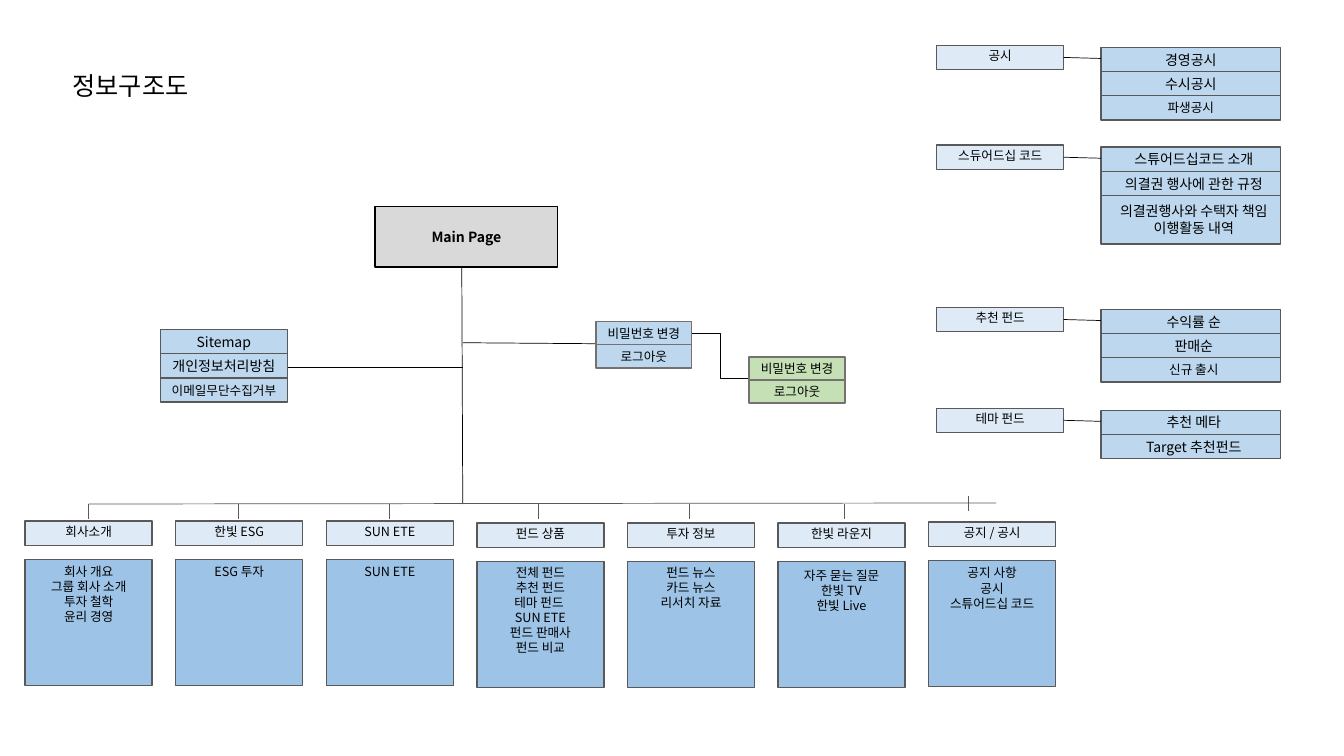
from pptx import Presentation
from pptx.dml.color import RGBColor
from pptx.enum import shapes, text
from pptx.oxml.ns import qn
from pptx.util import Inches, Pt

FONT = "Noto Sans CJK KR"
BLACK = RGBColor(0x00, 0x00, 0x00)
GRAY = RGBColor(0xD9, 0xD9, 0xD9)
PALE = RGBColor(0xDE, 0xEB, 0xF7)
LIGHT = RGBColor(0xBD, 0xD7, 0xEE)
MEDIUM = RGBColor(0x9D, 0xC3, 0xE6)
GREEN = RGBColor(0xC5, 0xE0, 0xB4)
EDGE = RGBColor(0x59, 0x59, 0x59)
SOFT_EDGE = RGBColor(0x76, 0x71, 0x71)

# heading, top, branch line x, items, inset above the items
MENUS = [
    ("회사소개", 5.17, 0.88, ["회사 개요", "그룹 회사 소개", "투자 철학", "윤리 경영"], 0.04),
    ("한빛 ESG", 5.17, 2.37, ["ESG 투자"], 0.05),
    ("SUN ETE", 5.17, 3.86, ["SUN ETE"], 0.04),
    ("펀드 상품", 5.19, 5.34,
     ["전체 펀드", "추천 펀드", "테마 펀드 ", "SUN ETE", "펀드 판매사", "펀드 비교"], 0.03),
    ("투자 정보", 5.19, 6.84, ["펀드 뉴스", "카드 뉴스", "리서치 자료"], 0.03),
    ("한빛 라운지", 5.19, 8.38, ["자주 묻는 질문", "한빛 TV", "한빛 Live"], 0.06),
    ("공지 / 공시", 5.18, 9.61, ["공지 사항", "공시", "스튜어드십 코드"], 0.05),
]
# heading, top, (label, size, height) of each linked page, left inset
DETAILS = [
    ("공시", 0.45, [("경영공시", 10, 0.24), ("수시공시", 10, 0.24), ("파생공시", 9, 0.24)], 0),
    ("스듀어드십 코드", 1.44,
     [("스튜어드십코드 소개", 10, 0.24), ("의결권 행사에 관한 규정", 10, 0.24),
      ("의결권행사와 수택자 책임 이행활동 내역", 10, 0.48)], 0.06),
    ("추천 펀드", 3.05, [("수익률 순", 10, 0.24), ("판매순", 10, 0.24), ("신규 출시", 9, 0.24)], 0.06),
    ("테마 펀드", 4.05, [("추천 메타", 10, 0.24), ("Target 추천펀드", 10, 0.24)], 0.06),
]
UTILITIES = [("Sitemap", 10, 0.24), ("개인정보처리방침", 10, 0.24), ("이메일무단수집거부", 9, 0.24)]
ACCOUNT = [("비밀번호 변경", 9, 0.23), ("로그아웃", 9, 0.23)]
# left, top, fill
ACCOUNT_STACKS = [(5.91, 3.19, LIGHT), (7.43, 3.54, GREEN)]
# start, end
TRUNK_LINES = [
    ((4.58, 2.65), (4.59, 5)),
    ((4.59, 3.4), (5.91, 3.41)),
    ((2.85, 3.64), (4.59, 3.64)),
]
HEAD_WIDTH, HEAD_HEIGHT = 1.26, 0.24
MENU_LEFT, MENU_RIGHT = 0.25, 9.21
DETAIL_HEAD, DETAIL_PAGE, DETAIL_WIDTH = 9.29, 10.92, 1.78
TREE_Y = 5

deck = Presentation()
deck.slide_width, deck.slide_height = Inches(13.33), Inches(7.5)
page = deck.slides.add_slide(deck.slide_layouts[6])


def write(box, lines, size, bold=False, left=0, top=0, bottom=0, anchor="MIDDLE"):
    """Put centred lines of text into a box."""
    frame = box.text_frame
    settings = {
        "word_wrap": True, "margin_left": Inches(left), "margin_right": 0,
        "margin_top": Inches(top), "margin_bottom": Inches(bottom),
        "vertical_anchor": getattr(text.MSO_ANCHOR, anchor),
    }
    for name, value in settings.items():
        setattr(frame, name, value)
    for index, line in enumerate(lines):
        para = frame.add_paragraph() if index else frame.paragraphs[0]
        para.alignment = text.PP_ALIGN.CENTER
        para.line_spacing = Pt(size * 1.2)
        span = para.add_run()
        span.text = line
        for name, value in {"name": FONT, "size": Pt(size), "bold": bold}.items():
            setattr(span.font, name, value)
        span.font.color.rgb = BLACK
        east_asian = span.font._element.makeelement(qn("a:ea"), {"typeface": FONT})
        span.font._element.append(east_asian)


def add_box(place, fill, lines, size=9, edge=EDGE, **layout):
    """Draw a filled rectangle with its text."""
    box = page.shapes.add_shape(shapes.MSO_SHAPE.RECTANGLE, *map(Inches, place))
    box.shadow.inherit = False
    box.fill.solid()
    box.fill.fore_color.rgb = fill
    box.line.color.rgb = edge
    box.line.width = Pt(1)
    write(box, lines, size, **layout)


def add_stack(left, top, width, items, fill, edge=EDGE, inset=0):
    """Draw boxes one under the other."""
    for label, size, height in items:
        add_box((left, top, width, height), fill, [label], size, edge, left=inset)
        top += height


def add_line(start, end, color=BLACK, width=0.5, kind="STRAIGHT"):
    """Draw a connector between two points."""
    line = page.shapes.add_connector(
        getattr(shapes.MSO_CONNECTOR, kind), *map(Inches, start + end))
    line.line.color.rgb = color
    line.line.width = Pt(width)
    properties = line._element.spPr
    properties.append(properties.makeelement(qn("a:effectLst"), {}))


title = page.shapes.add_textbox(*map(Inches, (0.37, 0.65, 1.85, 0.4)))
write(title, ["정보구조도"], 18)

for start, end in TRUNK_LINES:
    add_line(start, end)
add_line((6.86, 3.31), (7.43, 3.75), kind="ELBOW")
add_box((3.72, 2.05, 1.81, 0.6), GRAY, ["Main Page"], 10, BLACK, bold=True)
add_stack(1.59, 3.27, HEAD_WIDTH, UTILITIES, LIGHT)
for left, top, fill in ACCOUNT_STACKS:
    add_stack(left, top, 0.95, ACCOUNT, fill, SOFT_EDGE)

add_line((MENUS[0][2], TREE_Y), (9.88, 4.99), EDGE)
pitch = (MENU_RIGHT - MENU_LEFT) / (len(MENUS) - 1)
for index, (heading, top, branch, items, inset) in enumerate(MENUS):
    left = MENU_LEFT + index * pitch
    branch_top = 4.92 if index == len(MENUS) - 1 else TREE_Y
    add_line((branch, branch_top), (branch, branch_top + 0.15), EDGE, 0.75)
    add_box((left, top, HEAD_WIDTH, HEAD_HEIGHT), PALE, [heading], bottom=0.03)
    add_box((left, top + 0.38, HEAD_WIDTH, 1.25), MEDIUM, items, top=inset, anchor="TOP")

for heading, top, items, inset in DETAILS:
    add_box((DETAIL_HEAD, top, HEAD_WIDTH, HEAD_HEIGHT), PALE, [heading], bottom=0.04)
    add_stack(DETAIL_PAGE, top + 0.02, DETAIL_WIDTH, items, LIGHT, inset=inset)
    add_line((DETAIL_HEAD + HEAD_WIDTH, top + 0.12), (DETAIL_PAGE, top + 0.13))

deck.save("out.pptx")
